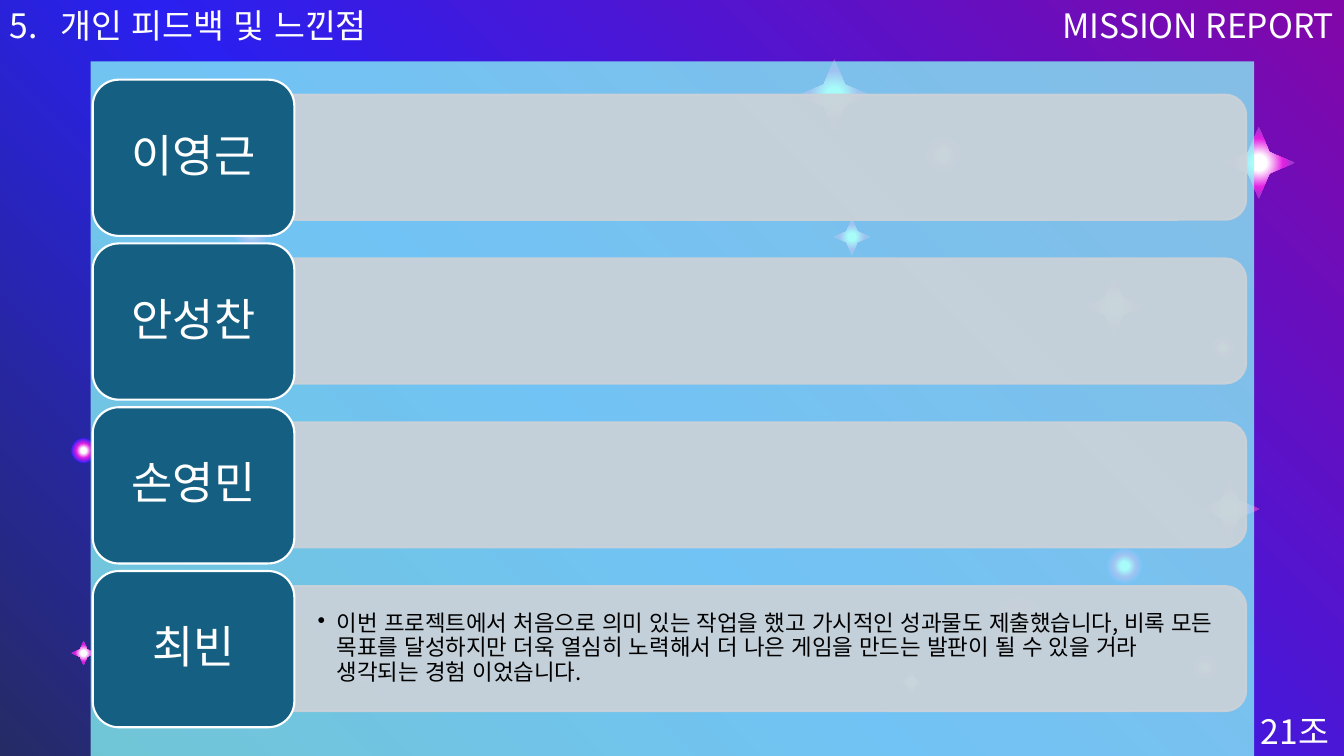
"""Build the personal feedback slide with a starry gradient background."""
from lxml.etree import SubElement
from pptx import Presentation
from pptx.dml.color import RGBColor
from pptx.enum.lang import MSO_LANGUAGE_ID as Language
from pptx.enum.shapes import MSO_SHAPE as Shape
from pptx.enum.text import MSO_ANCHOR as Anchor, PP_ALIGN as Align
from pptx.oxml import parse_xml
from pptx.oxml.ns import nsdecls, qn
from pptx.util import Inches, Pt

FONT = "Noto Sans CJK KR"
RADIAL = '<a:path path="circle"><a:fillToRect l="50000" t="50000" r="50000" b="50000"/></a:path>'
DIAGONAL = '<a:lin ang="18900000" scaled="0"/>'


def paint(fill, color, alpha=100, shade=RADIAL):
    """Fill with one hex colour, or with a gradient of (percent, hex) stops."""
    fill.solid()
    if isinstance(color, str):
        fill.fore_color.rgb = RGBColor.from_string(color)
        if alpha < 100:
            tint = fill._xPr.find(qn("a:solidFill"))[0]
            SubElement(tint, qn("a:alpha")).set("val", str(alpha * 1000))
        return
    stops = "".join(f'<a:gs pos="{at * 1000}"><a:srgbClr val="{tone}"/></a:gs>' for at, tone in color)
    gradient = parse_xml(f'<a:gradFill {nsdecls("a")} rotWithShape="1"><a:gsLst>{stops}</a:gsLst>{shade}</a:gradFill>')
    fill._xPr.replace(fill._xPr.find(qn("a:solidFill")), gradient)


def write(box, text, size, color="FFFFFF", side=0.1, edge=0.05, **formats):
    """Put one paragraph into a shape and return the paragraph."""
    frame = box.text_frame
    settings = {"word_wrap": True, "margin_left": Inches(side), "margin_right": Inches(side),
                "margin_top": Inches(edge), "margin_bottom": Inches(edge),
                "vertical_anchor": formats.pop("anchor", Anchor.TOP)}
    for name, value in settings.items():
        setattr(frame, name, value)
    para = frame.paragraphs[0]
    for name, value in formats.items():
        setattr(para, name, value)
    span = para.add_run()
    span.text = text
    for name, value in {"size": Pt(size), "name": FONT, "language_id": Language.KOREAN}.items():
        setattr(span.font, name, value)
    SubElement(span._r.get_or_add_rPr(), qn("a:ea")).set("typeface", FONT)
    paint(span.font.fill, color)
    return para


deck = Presentation()
deck.slide_width, deck.slide_height = Inches(13.33), Inches(7.5)
page = deck.slides.add_slide(deck.slide_layouts[6])
shapes = page.shapes
paint(page.background.fill, [(0, "252B65"), (43, "2A20F0"), (100, "8207A9")], shade=DIAGONAL)

stars = [(7.92, 0.59, 0.71), (11.91, 4.76, 0.58), (0.71, 6.36, 0.24), (12.13, 1.26, 0.71),
         (10.76, 2.75, 0.58), (8.27, 2.17, 0.36), (8.92, 6.65, 0.24)]
glows = [(9.8, 5.91, 0.59), (2.31, 2.09, 0.37), (11.83, 6.5, 0.24), (3.48, 6.53, 0.24),
         (9.17, 1.35, 0.37), (12.01, 3.33, 0.24), (0.71, 4.35, 0.24), (10.97, 5.43, 0.37)]
star_stops = [(16, "FFFFFF"), (48, "E420E4"), (73, "8C3DC7")]
glow_stops = [(16, "FFFFFF"), (42, "E420E4"), (73, "2A20F0")]
for kind, spots, stops in ((Shape.STAR_4_POINT, stars, star_stops), (Shape.OVAL, glows, glow_stops)):
    for left, top, size in spots:
        light = shapes.add_shape(kind, Inches(left), Inches(top), Inches(size), Inches(size))
        light.shadow.inherit = False
        light.line.fill.background()
        paint(light.fill, stops)
        if kind == Shape.STAR_4_POINT:
            light.adjustments[0] = 0.21

panel = shapes.add_shape(Shape.RECTANGLE, Inches(0.9), Inches(0.61), Inches(11.54), Inches(6.89))
panel.shadow.inherit = False
panel.line.fill.background()
paint(panel.fill, "8AFAF7", 75)

labels = [("개인 피드백 및 느낀점", 0, 0, 6.67, Align.LEFT),
          ("21조", 12.36, 7, 0.97, Align.CENTER),
          ("MISSION REPORT", 6.67, 0, 6.66, Align.RIGHT)]
for text, left, top, width, align in labels:
    box = shapes.add_textbox(Inches(left), Inches(top), Inches(width), Inches(0.5))
    para = write(box, text, 24, alignment=align)
    if align == Align.LEFT:
        layout = para._p.get_or_add_pPr()
        layout.set("marL", str(Inches(0.5)))
        layout.set("indent", str(Inches(-0.5)))
        number = SubElement(layout, qn("a:buAutoNum"))
        number.set("type", "arabicPeriod")
        number.set("startAt", "5")

feedback = {
    "이영근": "",
    "안성찬": "",
    "손영민": "",
    "최빈": "이번 프로젝트에서 처음으로 의미 있는 작업을 했고 가시적인 성과물도 제출했습니다, "
          "비록 모든 목표를 달성하지만 더욱 열심히 노력해서 더 나은 게임을 만드는 발판이 "
          "될 수 있을 거라 생각되는 경험 이었습니다.",
}
for row, (member, comment) in enumerate(feedback.items()):
    top = 0.79 + 1.625 * row
    bar = shapes.add_shape(Shape.ROUND_2_SAME_RECTANGLE, Inches(7), Inches(top - 3.97), Inches(1.24), Inches(9.48))
    bar.rotation = 90
    tile = shapes.add_shape(Shape.ROUNDED_RECTANGLE, Inches(0.92), Inches(top), Inches(2), Inches(1.55))
    for shape, color, edge, alpha in ((bar, "CCD2D8", "CCD2D8", 90), (tile, "156082", "FFFFFF", 100)):
        shape.shadow.inherit = False
        shape.line.width = Pt(1.5)
        paint(shape.fill, color, alpha)
        paint(shape.line.fill, edge, alpha)
    write(tile, member, 32, side=0.13, edge=0.07, anchor=Anchor.MIDDLE,
          alignment=Align.CENTER, line_spacing=0.9)
    if comment:
        box = shapes.add_textbox(Inches(2.88), Inches(top + 0.21), Inches(9.42), Inches(1.12))
        para = write(box, comment, 16, "000000", side=0.27, edge=0.14, anchor=Anchor.MIDDLE,
                     level=1, line_spacing=0.9)
        layout = para._p.get_or_add_pPr()
        layout.set("marL", str(Inches(0.19)))
        layout.set("indent", str(Inches(-0.19)))
        SubElement(layout, qn("a:buChar")).set("char", "•")

deck.save("out.pptx")
